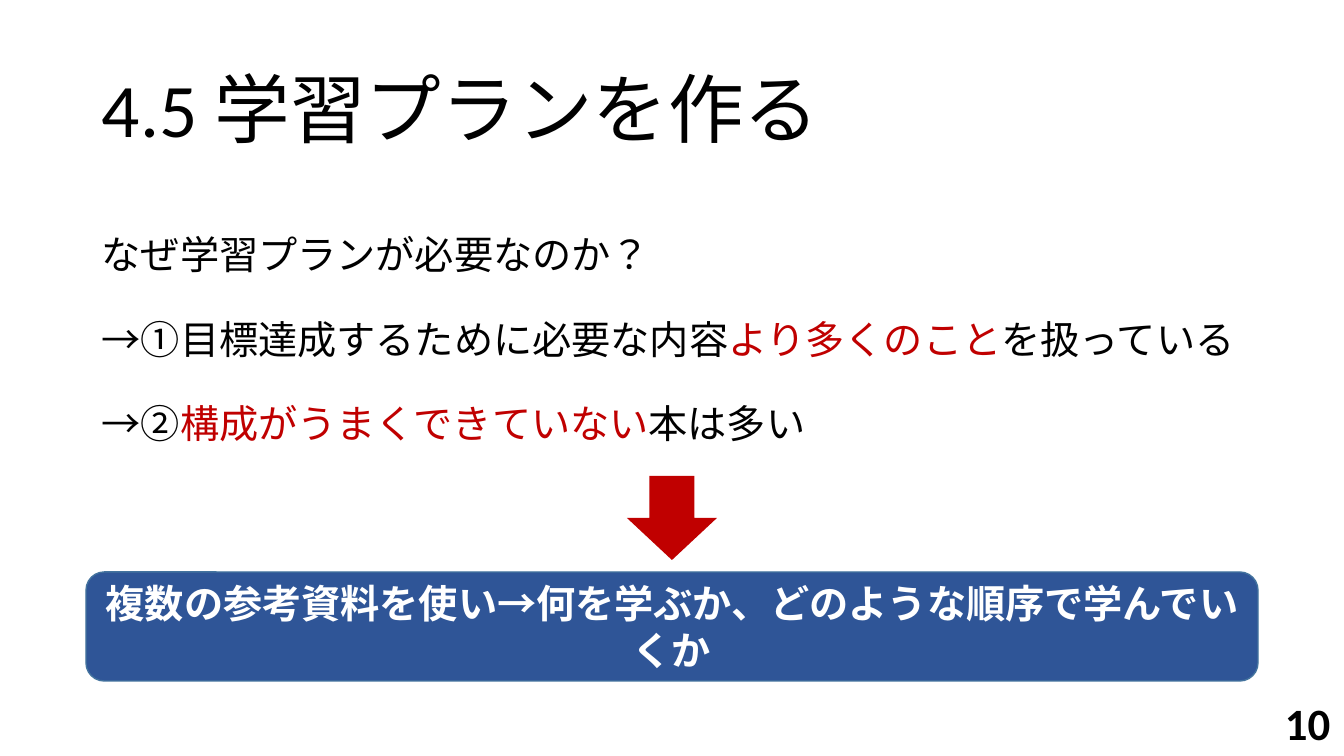
from pptx import Presentation
from pptx.dml.color import RGBColor
from pptx.enum.lang import MSO_LANGUAGE_ID
from pptx.enum.shapes import MSO_SHAPE
from pptx.enum.text import MSO_ANCHOR, PP_ALIGN
from pptx.util import Emu, Pt

PX_PER_INCH = 100.8
BLACK, WHITE, RED, BLUE, EDGE = "000000", "FFFFFF", "C00000", "2F5597", "43739E"
REASONS = [
    [("なぜ学習プランが必要なのか？", BLACK)],
    [("→①目標達成するために必要な内容", BLACK), ("より多くのこと", RED), ("を扱っている", BLACK)],
    [("→②", BLACK), ("構成がうまくできていない", RED), ("本は多い", BLACK)],
]


def px(length):
    """Turn pixels into EMU."""
    return Emu(round(length * 914400 / PX_PER_INCH))


def color(value):
    """Turn a hex string into a colour."""
    return RGBColor.from_string(value)


def write(paragraph, spans, size, bold=False):
    """Fill a paragraph with coloured spans of one font."""
    font = paragraph.font
    font.name, font.size, font.bold = "Calibri", Pt(size), bold
    font.language_id = MSO_LANGUAGE_ID.JAPANESE
    for text, hue in spans:
        span = paragraph.add_run()
        span.text = text
        span.font.color.rgb = color(hue)


def add_text(page, box, paragraphs, size, bold=False, anchor=MSO_ANCHOR.TOP,
             line_spacing=1.0, space_before=0):
    """Place a text box holding paragraphs of spans."""
    frame = page.shapes.add_textbox(*map(px, box)).text_frame
    frame.word_wrap = True
    frame.vertical_anchor = anchor
    for index, spans in enumerate(paragraphs):
        paragraph = frame.add_paragraph() if index else frame.paragraphs[0]
        paragraph.line_spacing = line_spacing
        paragraph.space_before = Pt(space_before)
        write(paragraph, spans, size, bold)


def add_block(page, kind, box, fill):
    """Place a flat filled shape."""
    block = page.shapes.add_shape(kind, *map(px, box))
    block.shadow.inherit = False
    block.fill.solid()
    block.fill.fore_color.rgb = color(fill)
    block.line.fill.background()
    return block


def add_conclusion(page, box):
    """Place the rounded banner with the arrow that points down to it."""
    left, top, width, height = box
    arrow_width, arrow_height, gap = 90, 84, 12
    arrow_left = left + (width - arrow_width) / 2
    arrow_top = top - gap - arrow_height
    add_block(page, MSO_SHAPE.DOWN_ARROW, (arrow_left, arrow_top, arrow_width, arrow_height), RED)
    banner = add_block(page, MSO_SHAPE.ROUNDED_RECTANGLE, box, BLUE)
    banner.line.color.rgb = color(EDGE)
    banner.line.width = Pt(1)
    banner.text_frame.vertical_anchor = MSO_ANCHOR.MIDDLE
    paragraph = banner.text_frame.paragraphs[0]
    paragraph.alignment = PP_ALIGN.CENTER
    write(paragraph, [("複数の参考資料を使い→何を学ぶか、どのような順序で学んでいくか", WHITE)], 28, bold=True)


def main():
    """Build and save the deck."""
    deck = Presentation()
    deck.slide_width, deck.slide_height = px(1344), px(756)
    page = deck.slides.add_slide(deck.slide_layouts[6])
    add_text(page, (92, 40, 1160, 146), [[("4.5 学習プランを作る", BLACK)]], 54,
             anchor=MSO_ANCHOR.MIDDLE, line_spacing=0.9)
    add_text(page, (92, 202, 1160, 263), REASONS, 28, line_spacing=1.5, space_before=10)
    add_conclusion(page, (86, 572, 1172, 109))
    add_text(page, (1275, 691, 69, 65), [[("10", BLACK)]], 32, bold=True)
    deck.save("out.pptx")


if __name__ == "__main__":
    main()
